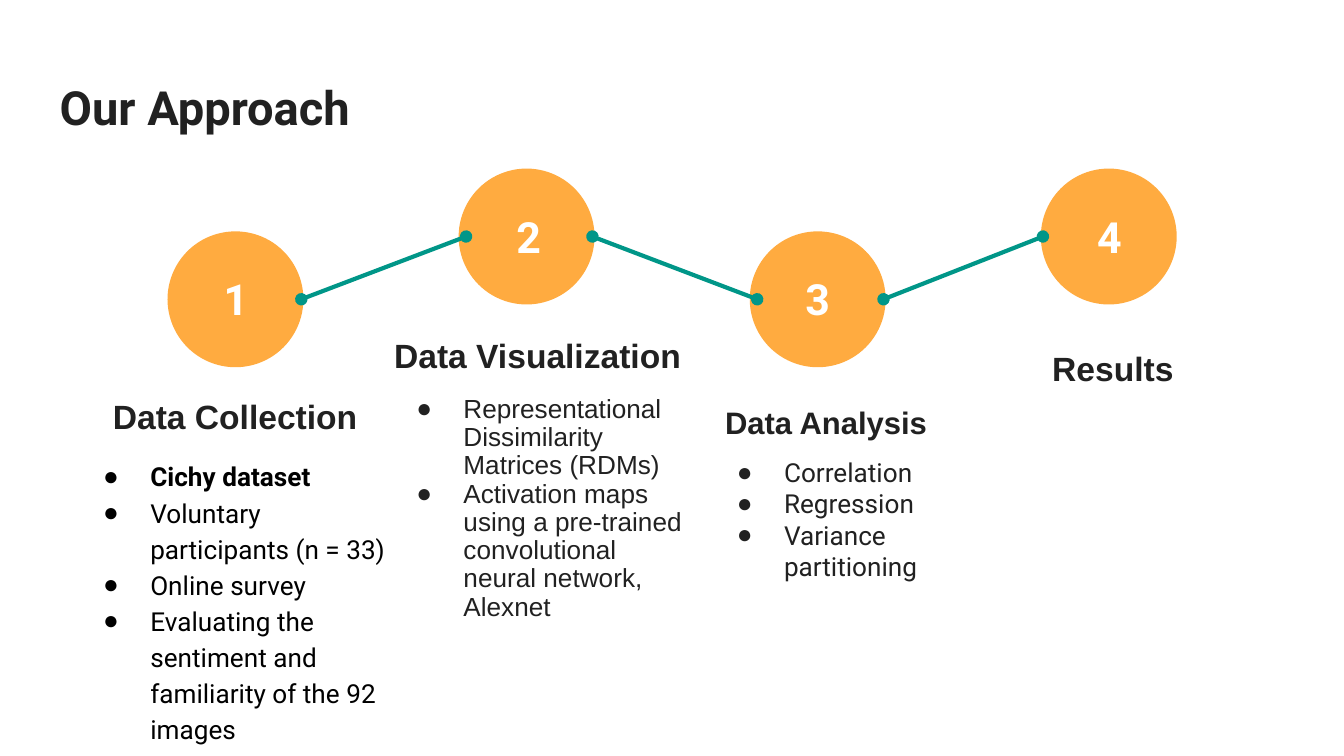
import pptx
import pptx.dml.color
import pptx.enum.shapes
import pptx.enum.text
import pptx.oxml
import pptx.oxml.ns
import pptx.util

COLORS = {"ink": "212121", "black": "000000", "white": "FFFFFF", "orange": "FFAB40", "teal": "009688"}
ALIGN = pptx.enum.text.PP_ALIGN
ANCHOR = pptx.enum.text.MSO_ANCHOR

presentation = pptx.Presentation()
presentation.slide_width = pptx.util.Inches(10)
presentation.slide_height = presentation.slide_width * 9 // 16
slide = presentation.slides.add_slide(presentation.slide_layouts[6])
column = presentation.slide_width / 100
row = presentation.slide_height / 56.25


def color(name):
    return pptx.dml.color.RGBColor.from_string(COLORS[name])


def add_text(text, left, top, width, height, size=18, font="Arial", ink="ink", bold=False,
             align=ALIGN.LEFT, anchor=ANCHOR.TOP, spacing=1.0, bullets=False, grow=False):
    shape = slide.shapes.add_textbox(int(left * column), int(top * row), int(width * column), int(height * row))
    frame = shape.text_frame
    frame.word_wrap = True
    frame.vertical_anchor = anchor
    if grow:
        frame.auto_size = pptx.enum.text.MSO_AUTO_SIZE.SHAPE_TO_FIT_TEXT
    frame.margin_left = frame.margin_right = frame.margin_top = frame.margin_bottom = pptx.util.Inches(0.1)
    frame.text = text
    for paragraph in frame.paragraphs:
        paragraph.alignment = align
        if bullets:
            properties = paragraph._p.get_or_add_pPr()
            properties.set("marL", str(pptx.util.Inches(0.5)))
            properties.set("indent", str(pptx.util.Inches(-0.35)))
            namespace = pptx.oxml.ns.nsdecls("a")
            for element in (f'<a:buClr {namespace}><a:srgbClr val="{COLORS[ink]}"/></a:buClr>',
                            f'<a:buFont {namespace} typeface="Arial"/>',
                            f'<a:buChar {namespace} char="●"/>'):
                properties.append(pptx.oxml.parse_xml(element))
        paragraph.line_spacing = spacing
        for run in paragraph.runs:
            run.font.size = pptx.util.Pt(size)
            run.font.name = font
            run.font.bold = bold
            run.font.color.rgb = color(ink)
    return shape


add_text("Our Approach", 3.45, 4.85, 93.2, 6.3, size=25.2, font="Roboto", bold=True)

diameter = 9.8
centers = [(17.52 + 21.66 * step, 17.6 if step % 2 else 22.27) for step in range(4)]
for center_x, center_y in centers:
    circle = slide.shapes.add_shape(
        pptx.enum.shapes.MSO_SHAPE.OVAL,
        int((center_x - diameter / 2) * column), int((center_y - diameter / 2) * row),
        int(diameter * column), int(diameter * row))
    circle.shadow.inherit = False
    circle.fill.solid()
    circle.fill.fore_color.rgb = color("orange")
    circle.line.color.rgb = color("orange")
    circle.line.width = pptx.util.Pt(2.25)

overlaps = [0.4, 0.4, 0]
for (start_x, start_y), (end_x, end_y), overlap in zip(centers, centers[1:], overlaps):
    connector = slide.shapes.add_connector(
        pptx.enum.shapes.MSO_CONNECTOR.STRAIGHT,
        int((start_x + diameter / 2) * column), int(start_y * row),
        int((end_x - diameter / 2 + overlap) * column), int(end_y * row))
    connector.line.color.rgb = color("teal")
    connector.line.width = pptx.util.Pt(2.25)
    line = connector.line._get_or_add_ln()
    for end in ("headEnd", "tailEnd"):
        line.append(pptx.oxml.parse_xml(f'<a:{end} {pptx.oxml.ns.nsdecls("a")} type="oval"/>'))
    connector._element.spPr.append(pptx.oxml.parse_xml(f'<a:effectLst {pptx.oxml.ns.nsdecls("a")}/>'))

number_lefts = [14.9, 36.7, 58.2, 79.9]
for number, (left, (center_x, center_y)) in enumerate(zip(number_lefts, centers), start=1):
    add_text(str(number), left, center_y - 2.95, 5.3, 5.9, size=23, font="Roboto",
             ink="white", bold=True, align=ALIGN.CENTER, grow=True)

headings = [
    ("Data Collection", 7.3, 28.75, 20.4, 4.7, 18, 0.8),
    ("Data Visualization", 27.65, 23.2, 24.7, 5.7, 18, 1.0),
    ("Data Analysis", 52.35, 28.1, 18.2, 5.7, 16.6, 1.0),
    ("Results", 73.7, 24.2, 18.2, 5.7, 18, 1.0),
]
for text, left, top, width, height, size, spacing in headings:
    add_text(text, left, top, width, height, size=size, spacing=spacing, bold=True,
             align=ALIGN.CENTER, anchor=ANCHOR.BOTTOM)

collection = add_text(
    "Cichy dataset\nVoluntary participants (n = 33)\nOnline survey\n"
    "Evaluating the sentiment and familiarity of the 92 images",
    5.2, 32.95, 24.7, 23.3, size=14, font="Roboto", ink="black", spacing=1.15, bullets=True)
collection.text_frame.paragraphs[0].runs[0].font.bold = True
add_text(
    "Representational Dissimilarity Matrices (RDMs)\n"
    "Activation maps using a pre-trained convolutional neural network, Alexnet",
    28.5, 28.45, 23.9, 21.5, size=14, spacing=0.9, bullets=True)
add_text("Correlation\nRegression\nVariance partitioning", 52.35, 32.95, 18.2, 16.2,
         size=14, font="Roboto", bullets=True)

presentation.save("out.pptx")
